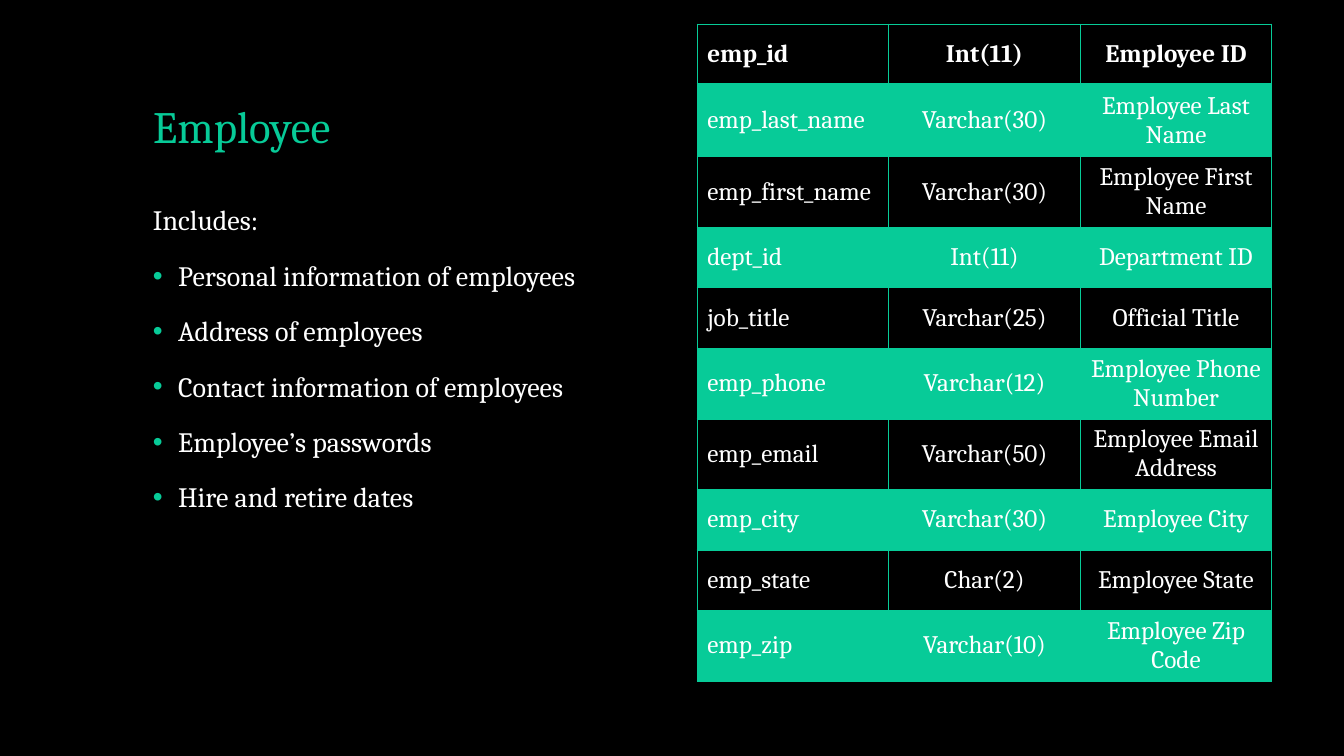
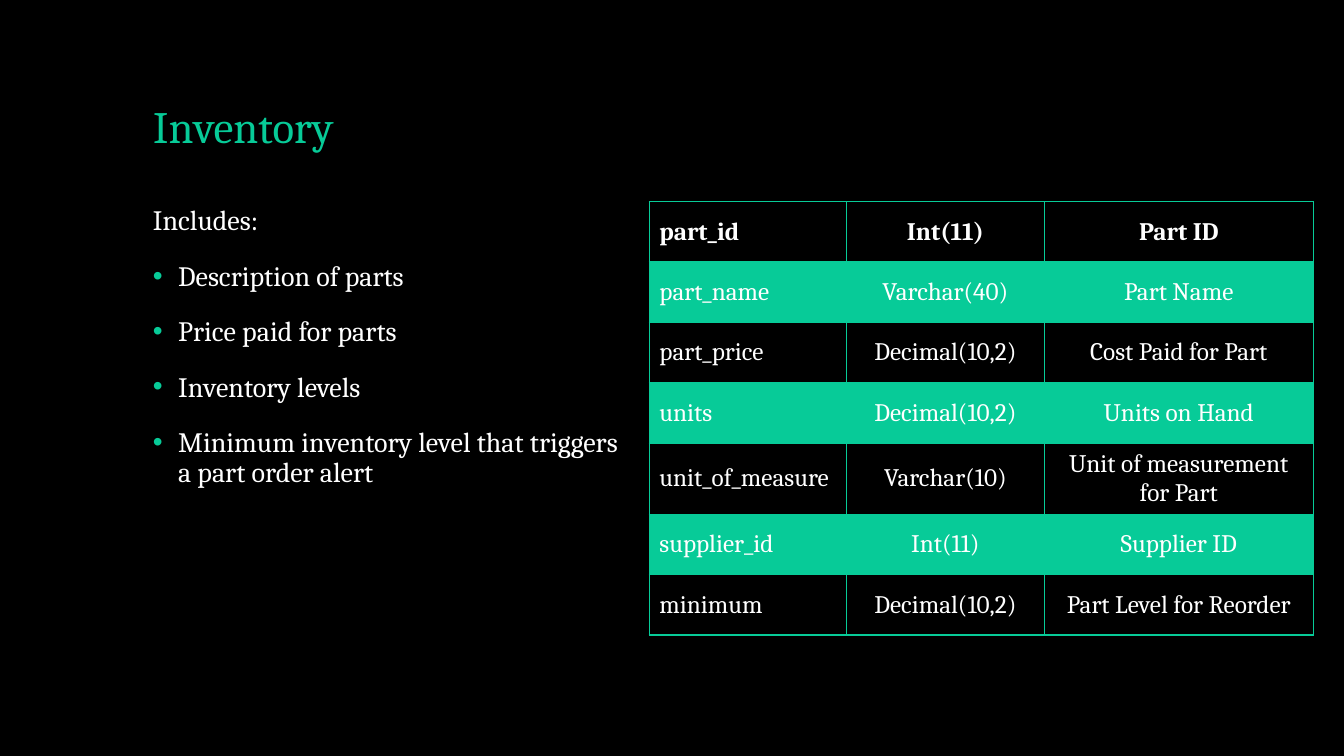
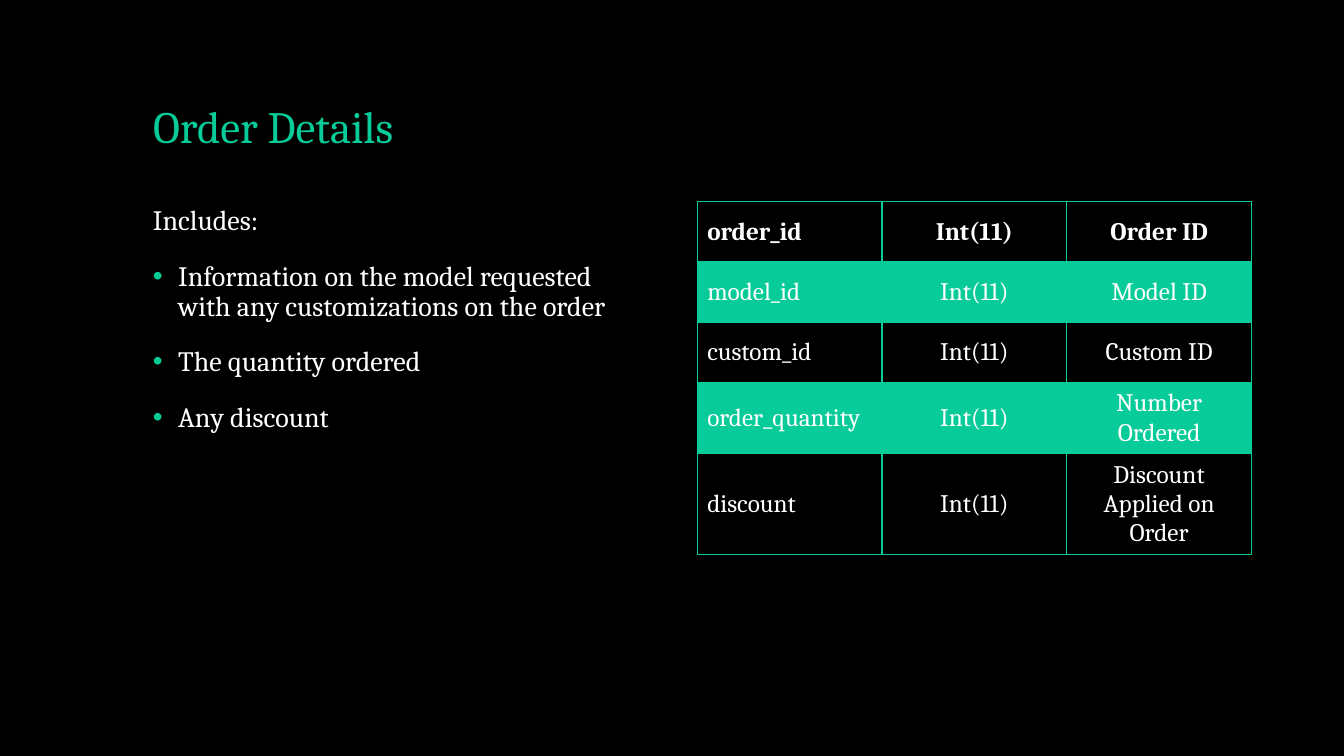
from lxml import etree
from pptx import Presentation
from pptx.dml.color import RGBColor
from pptx.enum import text
from pptx.oxml import ns
from pptx.util import Pt

BLACK = RGBColor(0x00, 0x00, 0x00)
WHITE = RGBColor(0xFF, 0xFF, 0xFF)
GREEN = RGBColor(0x07, 0xCB, 0x98)
FONT = "Cambria"
NO_STYLE = "{2D5ABB26-0587-4C30-8999-92F81FD0307C}"
TITLE_ONLY = 5
TEXT_LEFT = 102.2
BODY_TOP = 144
ROW_HEIGHT = 43.2
BULLET_INDENT = 18

EMPLOYEE_FIELDS = [
    ("emp_id", "Int(11)", "Employee ID"),
    ("emp_last_name", "Varchar(30)", "Employee Last Name"),
    ("emp_first_name", "Varchar(30)", "Employee First Name"),
    ("dept_id", "Int(11)", "Department ID"),
    ("job_title", "Varchar(25)", "Official Title"),
    ("emp_phone", "Varchar(12)", "Employee Phone Number"),
    ("emp_email", "Varchar(50)", "Employee Email Address"),
    ("emp_city", "Varchar(30)", "Employee City"),
    ("emp_state", "Char(2)", "Employee State"),
    ("emp_zip", "Varchar(10)", "Employee Zip Code"),
]
INVENTORY_FIELDS = [
    ("part_id", "Int(11)", "Part ID"),
    ("part_name", "Varchar(40)", "Part Name"),
    ("part_price", "Decimal(10,2)", "Cost Paid for Part"),
    ("units", "Decimal(10,2)", "Units on Hand"),
    ("unit_of_measure", "Varchar(10)", "Unit of measurement for Part"),
    ("supplier_id", "Int(11)", "Supplier ID"),
    ("minimum", "Decimal(10,2)", "Part Level for Reorder"),
]
ORDER_FIELDS = [
    ("order_id", "Int(11)", "Order ID"),
    ("model_id", "Int(11)", "Model ID"),
    ("custom_id", "Int(11)", "Custom ID"),
    ("order_quantity", "Int(11)", "Number Ordered"),
    ("discount", "Int(11)", "Discount Applied on Order"),
]


def add_element(parent, tag, **attributes):
    return etree.SubElement(parent, ns.qn(tag), attributes)


def add_green(parent):
    fill = add_element(parent, "a:solidFill")
    add_element(fill, "a:srgbClr", val=str(GREEN))


def style_font(font, size, color, bold=False):
    font.name = FONT
    font.size = Pt(size)
    font.bold = bold
    font.color.rgb = color


def add_page(deck, title):
    page = deck.slides.add_slide(deck.slide_layouts[TITLE_ONLY])
    box = page.shapes.title
    box.left, box.top = Pt(TEXT_LEFT), Pt(28.8)
    box.width, box.height = Pt(756), Pt(84.2)
    frame = box.text_frame
    frame.text = title
    frame.auto_size = text.MSO_AUTO_SIZE.NONE
    frame.vertical_anchor = text.MSO_ANCHOR.BOTTOM
    para = frame.paragraphs[0]
    para.alignment = text.PP_ALIGN.LEFT
    para.line_spacing = 0.9
    style_font(para.runs[0].font, 32, GREEN)
    return page


def set_bullet(para):
    properties = para._p.get_or_add_pPr()
    properties.set("marL", str(Pt(BULLET_INDENT)))
    properties.set("indent", str(Pt(-BULLET_INDENT)))
    color = add_element(properties, "a:buClr")
    add_element(color, "a:srgbClr", val=str(GREEN))
    add_element(properties, "a:buFont", typeface="Arial")
    add_element(properties, "a:buChar", char="•")


def add_contents(page, items):
    """Add the "Includes:" line with its bulleted items."""
    box = page.shapes.add_textbox(Pt(TEXT_LEFT), Pt(BODY_TOP), Pt(360), Pt(342.7))
    frame = box.text_frame
    frame.word_wrap = True
    for index, line in enumerate(["Includes:", *items]):
        para = frame.add_paragraph() if index else frame.paragraphs[0]
        para.text = line
        if index:
            set_bullet(para)
            para.space_before = Pt(18)
        para.line_spacing = 0.9
        style_font(para.runs[0].font, 20, WHITE)


def set_borders(cell, top, bottom):
    properties = cell._tc.get_or_add_tcPr()
    for side, width in (("L", 1), ("R", 1), ("T", top), ("B", bottom)):
        add_green(add_element(properties, f"a:ln{side}", w=str(Pt(width))))


def fill_band(cell):
    """Fill a cell with green at 20 % opacity."""
    cell.fill.solid()
    cell.fill.fore_color.rgb = GREEN
    color = cell._tc.tcPr.find(".//" + ns.qn("a:srgbClr"))
    add_element(color, "a:alpha", val="20000")


def fill_cell(cell, label, row, column):
    cell.text = label
    cell.vertical_anchor = text.MSO_ANCHOR.MIDDLE
    para = cell.text_frame.paragraphs[0]
    para.alignment = text.PP_ALIGN.CENTER if column else text.PP_ALIGN.LEFT
    style_font(para.runs[0].font, 18, WHITE, bold=row == 0)
    set_borders(cell, top=2 if row == 1 else 1, bottom=2 if row == 0 else 1)
    if row % 2:
        fill_band(cell)
    else:
        cell.fill.background()


def add_fields(page, fields, left, top, widths):
    """Add a table of field names, types and meanings."""
    frame = page.shapes.add_table(len(fields), len(widths), Pt(left), Pt(top),
                                  Pt(sum(widths)), Pt(ROW_HEIGHT * len(fields)))
    table = frame.table
    table._tbl.tblPr.find(ns.qn("a:tableStyleId")).text = NO_STYLE
    table.horz_banding = False
    for column, width in zip(table.columns, widths):
        column.width = Pt(width)
    for row, labels in enumerate(fields):
        table.rows[row].height = Pt(ROW_HEIGHT)
        for column, label in enumerate(labels):
            fill_cell(table.cell(row, column), label, row, column)
    return table


def main():
    deck = Presentation()
    deck.slide_width, deck.slide_height = Pt(960), Pt(540)
    background = deck.slide_master.background.fill
    background.solid()
    background.fore_color.rgb = BLACK

    page = add_page(deck, "Employee")
    add_contents(page, [
        "Personal information of employees",
        "Address of employees",
        "Contact information of employees",
        "Employee’s passwords",
        "Hire and retire dates",
    ])
    table = add_fields(page, EMPLOYEE_FIELDS, 498, 17.3, [136.8] * 3)
    table.rows[1].height = Pt(51.5)

    page = add_page(deck, "Inventory")
    add_contents(page, [
        "Description of parts",
        "Price paid for parts",
        "Inventory levels",
        "Minimum inventory level that triggers a part order alert",
    ])
    add_fields(page, INVENTORY_FIELDS, 463.8, BODY_TOP, [141, 141, 192.4])

    page = add_page(deck, "Order Details")
    add_contents(page, [
        "Information on the model requested with any customizations on the order",
        "The quantity ordered",
        "Any discount",
    ])
    add_fields(page, ORDER_FIELDS, 498, BODY_TOP, [132] * 3)

    deck.save("out.pptx")


if __name__ == "__main__":
    main()
